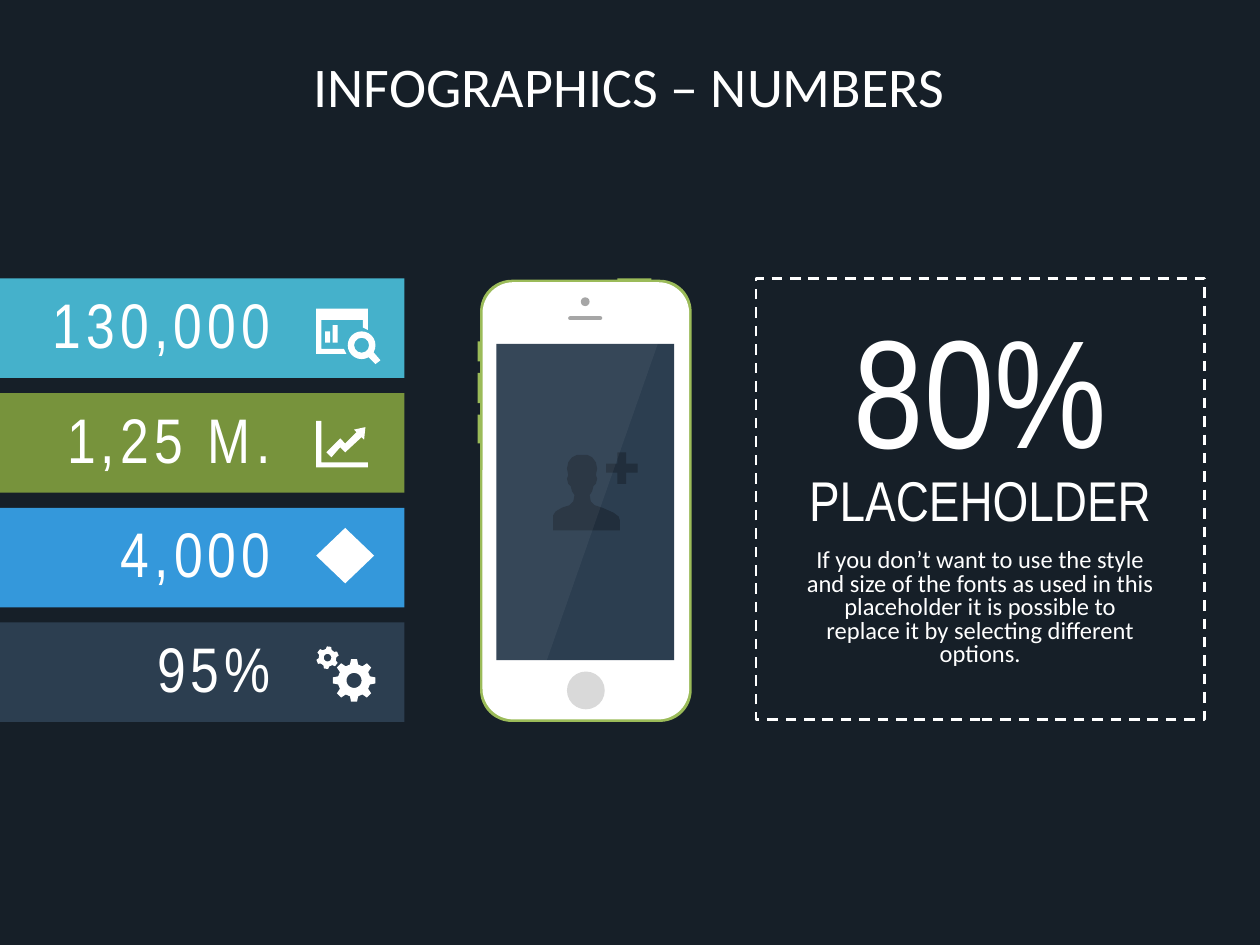
import math

import lxml.etree
import pptx
import pptx.dml.color
import pptx.enum.dml
import pptx.enum.shapes
import pptx.enum.text
import pptx.oxml.ns
import pptx.util

Inches = pptx.util.Inches
Pt = pptx.util.Pt
RGBColor = pptx.dml.color.RGBColor
SHAPE = pptx.enum.shapes.MSO_SHAPE
ALIGN = pptx.enum.text.PP_ALIGN
ANCHOR = pptx.enum.text.MSO_ANCHOR

BACKGROUND = RGBColor(0x16, 0x1F, 0x28)
WHITE = RGBColor(0xFF, 0xFF, 0xFF)
TEAL = RGBColor(0x45, 0xB1, 0xCB)
OLIVE = RGBColor(0x77, 0x93, 0x3C)
BLUE = RGBColor(0x34, 0x98, 0xDB)
SLATE = RGBColor(0x2C, 0x3E, 0x50)
NAVY = RGBColor(0x21, 0x2E, 0x3C)
GREEN = RGBColor(0x9B, 0xBB, 0x59)
GRAY = RGBColor(0xA6, 0xA6, 0xA6)
LIGHT_GRAY = RGBColor(0xD9, 0xD9, 0xD9)

NARROW = "Arial Narrow"


def paint(shape, color):
    shape.shadow.inherit = False
    shape.fill.solid()
    shape.fill.fore_color.rgb = color
    shape.line.fill.background()
    return shape


def add_preset(slide, kind, left, top, width, height, color, adjustment=None):
    shape = slide.shapes.add_shape(
        kind, Inches(left), Inches(top), Inches(width), Inches(height))
    if adjustment is not None:
        shape.adjustments[0] = adjustment
    return paint(shape, color)


def add_outline(slide, left, top, contours, color):
    """Fill closed contours whose points are relative to left and top."""
    contours = [[(Inches(left + x), Inches(top + y)) for x, y in contour]
                for contour in contours]
    builder = slide.shapes.build_freeform(*contours[0][0])
    builder.add_line_segments(contours[0][1:])
    for contour in contours[1:]:
        builder.move_to(*contour[0])
        builder.add_line_segments(contour[1:])
    return paint(builder.convert_to_shape(), color)


def set_frame(frame, left, top, right, bottom, anchor):
    frame.word_wrap = True
    frame.vertical_anchor = anchor
    frame.margin_left, frame.margin_top = Inches(left), Inches(top)
    frame.margin_right, frame.margin_bottom = Inches(right), Inches(bottom)


def style_paragraph(paragraph, font, size, alignment):
    paragraph.alignment = alignment
    paragraph.font.name = font
    paragraph.font.size = Pt(size)
    paragraph.font.color.rgb = WHITE


def add_title(slide, left, top, width, height):
    box = slide.shapes.add_textbox(
        Inches(left), Inches(top), Inches(width), Inches(height))
    set_frame(box.text_frame, 0, 0, 0, 0, ANCHOR.TOP)
    paragraph = box.text_frame.paragraphs[0]
    paragraph.text = "INFOGRAPHICS – NUMBERS"
    paragraph.line_spacing = 0.9
    style_paragraph(paragraph, "Calibri", 32, ALIGN.CENTER)


# Icons, each placed from the left edge of the icon and the top of its bar
def add_report_icon(slide, left, top):
    window = [(0, 0.24), (0.41, 0.24), (0.41, 0.41), (0.37, 0.39), (0.37, 0.33),
              (0.04, 0.33), (0.04, 0.56), (0.22, 0.56), (0.24, 0.6), (0, 0.6)]
    handle = [(0.41, 0.62), (0.45, 0.58), (0.51, 0.65), (0.47, 0.68)]
    for contour in (window, handle):
        add_outline(slide, left, top, [contour], WHITE)
    for x, height in ((0.07, 0.09), (0.13, 0.14)):
        add_preset(slide, SHAPE.RECTANGLE, left + x, top + 0.51 - height,
                   0.04, height, WHITE)
    add_preset(slide, SHAPE.DONUT, left + 0.25, top + 0.42, 0.22, 0.22, WHITE, 0.23)


def add_growth_icon(slide, left, top):
    axes = [(0, 0.22), (0.04, 0.22), (0.04, 0.55), (0.41, 0.55), (0.41, 0.59), (0, 0.59)]
    arrow = [(0.19, 0.43), (0.12, 0.51), (0.08, 0.47), (0.19, 0.36), (0.23, 0.4),
             (0.32, 0.31), (0.3, 0.29), (0.39, 0.27), (0.38, 0.37), (0.36, 0.35),
             (0.23, 0.47)]
    for contour in (axes, arrow):
        add_outline(slide, left, top, [contour], WHITE)


def add_diamond_icon(slide, left, top):
    add_preset(slide, SHAPE.DIAMOND, left, top + 0.16, 0.46, 0.44, WHITE)


def polar(radius, degrees):
    angle = math.radians(degrees)
    return radius * math.cos(angle), radius * math.sin(angle)


def add_gear(slide, center_x, center_y, teeth, radius, root, hole, turn):
    pitch = 360 / teeth
    profile = ((-0.32, root), (-0.18, radius), (0.18, radius), (0.32, root))
    rim = [polar(distance, turn + (tooth + offset) * pitch)
           for tooth in range(teeth) for offset, distance in profile]
    bore = [polar(hole, -15 * step) for step in range(24)]
    add_outline(slide, center_x, center_y, [rim, bore], WHITE)


def add_gears_icon(slide, left, top):
    add_gear(slide, left + 0.3, top + 0.46, 8, 0.17, 0.13, 0.06, 0)
    add_gear(slide, left + 0.09, top + 0.28, 6, 0.09, 0.07, 0.03, -22)


BARS = [
    ("130,000", TEAL, add_report_icon),
    ("1,25 M.", OLIVE, add_growth_icon),
    ("4,000", BLUE, add_diamond_icon),
    ("95%", SLATE, add_gears_icon),
]


def add_bars(slide, left, top, width, height):
    bar_height = 0.79
    pitch = (height - bar_height) / (len(BARS) - 1)
    for index, (value, color, add_icon) in enumerate(BARS):
        bar_top = top + index * pitch
        bar = add_preset(slide, SHAPE.RECTANGLE, left, bar_top, width, bar_height, color)
        set_frame(bar.text_frame, 0.08, 0.08, 1.06, 0.16, ANCHOR.MIDDLE)
        paragraph = bar.text_frame.paragraphs[0]
        run = paragraph.add_run()
        run.text = value
        run._r.get_or_add_rPr().set("spc", "300")
        paragraph.space_after = Pt(8)
        style_paragraph(paragraph, NARROW, 36, ALIGN.RIGHT)
        add_icon(slide, left + width - 0.7, bar_top)


def add_phone(slide, left, top, width, height):
    # Side and top buttons
    for y, button_height in ((0.5, 0.16), (0.75, 0.24), (1.08, 0.23)):
        add_preset(slide, SHAPE.RECTANGLE, left, top + y, 0.04, button_height, GREEN)
    add_preset(slide, SHAPE.RECTANGLE, left + 1.11, top, 0.27, 0.04, GREEN)
    # Case and front
    for inset, color in ((0.01, GREEN), (0.03, WHITE)):
        add_preset(slide, SHAPE.ROUNDED_RECTANGLE, left + inset + 0.01, top + inset,
                   width - 2 * inset, height - 2 * inset, color, 0.15)
    # Speaker, camera and home button
    add_preset(slide, SHAPE.ROUNDED_RECTANGLE, left + 0.72, top + 0.3, 0.27, 0.03, GRAY, 0.5)
    add_preset(slide, SHAPE.OVAL, left + 0.82, top + 0.15, 0.07, 0.07, GRAY)
    add_preset(slide, SHAPE.OVAL, left + 0.71, top + 3.12, 0.3, 0.3, LIGHT_GRAY)
    # Screen with the add-contact symbol
    screen_left, screen_top = left + 0.15, top + 0.52
    add_preset(slide, SHAPE.RECTANGLE, screen_left, screen_top, 1.41, 2.51, SLATE)
    add_preset(slide, SHAPE.CROSS, left + 1.02, top + 1.38, 0.25, 0.25, NAVY, 0.36)
    half = [(0.04, 0), (0.08, 0.02), (0.11, 0.06), (0.12, 0.11), (0.11, 0.16),
            (0.12, 0.19), (0.11, 0.23), (0.09, 0.25), (0.08, 0.29), (0.06, 0.32),
            (0.07, 0.37), (0.1, 0.4), (0.16, 0.42)]
    shoulders = [(0.25, 0.46), (0.29, 0.49), (0.3, 0.52), (0.3, 0.6),
                 (-0.23, 0.6), (-0.23, 0.48), (-0.21, 0.45)]
    mirrored = [(-x, y) for x, y in reversed(half)]
    add_outline(slide, left + 0.83, top + 1.4, [half + shoulders + mirrored], NAVY)
    # Glare
    glare = add_outline(slide, screen_left, screen_top,
                        [[(0, 0), (1.28, 0), (0.4, 2.51), (0, 2.51)]], WHITE)
    color = glare.fill._xPr.find(".//" + pptx.oxml.ns.qn("a:srgbClr"))
    lxml.etree.SubElement(color, pptx.oxml.ns.qn("a:alpha"), val="5000")


def add_panel(slide, left, top, width, height):
    panel = add_preset(slide, SHAPE.RECTANGLE, left, top, width, height, BACKGROUND)
    panel.fill.background()
    panel.line.color.rgb = WHITE
    panel.line.width = Pt(1.5)
    panel.line.dash_style = pptx.enum.dml.MSO_LINE.DASH
    frame = panel.text_frame
    set_frame(frame, 0.39, 0.2, 0.39, 0.2, ANCHOR.MIDDLE)
    headline, body = frame.paragraphs[0], frame.add_paragraph()
    number = headline.add_run()
    number.text = "80%"
    number.font.size = Pt(88)
    headline.add_line_break()
    headline.add_run().text = "PLACEHOLDER"
    body.text = ("If you don’t want to use the style and size of the fonts as used in this "
                 "placeholder it is possible to replace it by selecting different options.")
    for paragraph, font, size in ((headline, NARROW, 32), (body, "Calibri", 14)):
        paragraph.line_spacing = 0.8
        paragraph.space_after = Pt(10)
        style_paragraph(paragraph, font, size, ALIGN.CENTER)


def main():
    presentation = pptx.Presentation()
    presentation.slide_width, presentation.slide_height = Inches(10), Inches(7.5)
    slide = presentation.slides.add_slide(presentation.slide_layouts[6])
    slide.background.fill.solid()
    slide.background.fill.fore_color.rgb = BACKGROUND
    add_title(slide, 0.43, 0.47, 9.13, 1.18)
    add_bars(slide, 0, 2.21, 3.21, 3.52)
    add_panel(slide, 6, 2.21, 3.56, 3.5)
    add_phone(slide, 3.79, 2.21, 1.7, 3.53)
    presentation.save("out.pptx")


if __name__ == "__main__":
    main()
